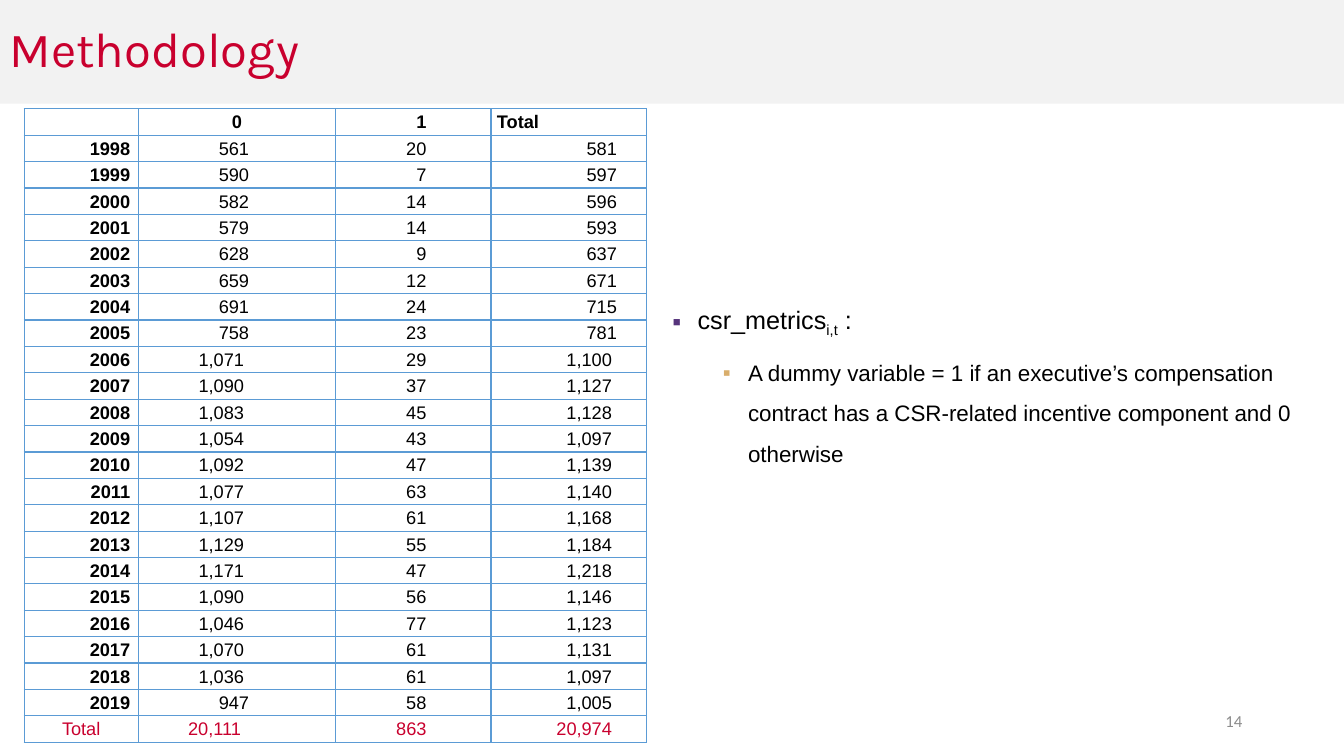
import lxml.etree
import pptx
import pptx.dml.color
import pptx.enum.shapes
import pptx.enum.text
import pptx.oxml.ns
import pptx.util

RGBColor = pptx.dml.color.RGBColor
CRIMSON = RGBColor(0xC9, 0x00, 0x2E)
BLACK = RGBColor(0x00, 0x00, 0x00)
GREY = RGBColor(0x8C, 0x8C, 0x8C)
BAND = RGBColor(0xF2, 0xF2, 0xF2)
RULE = RGBColor(0x5B, 0x9B, 0xD5)
PURPLE = RGBColor(0x56, 0x34, 0x7C)
GOLD = RGBColor(0xD9, 0xAE, 0x6C)

ALIGN = pptx.enum.text.PP_ALIGN
MIDDLE = pptx.enum.text.MSO_ANCHOR.MIDDLE
TOP = pptx.enum.text.MSO_ANCHOR.TOP
Inches = pptx.util.Inches
Pt = pptx.util.Pt

NO_CSR = [561, 590, 582, 579, 628, 659, 691, 758, 1071, 1090, 1083,
          1054, 1092, 1077, 1107, 1129, 1171, 1090, 1046, 1070, 1036, 947]
WITH_CSR = [20, 7, 14, 14, 9, 12, 24, 23, 29, 37, 45,
            43, 47, 63, 61, 55, 47, 56, 77, 61, 61, 58]
FIRST_YEAR = 1998
COLUMN_SHARES = [8.48, 14.7, 11.55, 11.55]
NO_CSR_INSETS = {3: 0.86, 5: 0.91, 6: 0.94}
TOTAL_INSETS = {3: 0.29, 5: 0.34, 6: 0.34}


def apply(target, values):
    for name, value in values.items():
        setattr(target, name, value)


def add_xml(parent, tag, **attributes):
    return lxml.etree.SubElement(parent, pptx.oxml.ns.qn(tag), attributes)


class MethodologySlide:
    GRID = 100

    def __init__(self, deck):
        self.deck = deck
        self.slide = deck.slides.add_slide(deck.slide_layouts[6])

    def box(self, column, row, columns, rows):
        across, down = self.deck.slide_width, self.deck.slide_height
        return [int(size * share / self.GRID) for size, share in
                zip((across, down, across, down), (column, row, columns, rows))]

    def add_words(self, paragraph, text, size, color=BLACK, face="Arial", bold=False):
        run = paragraph.add_run()
        run.text = text
        apply(run.font, {"name": face, "size": Pt(size), "bold": bold})
        run.font.color.rgb = color
        return run

    def band(self, place, text):
        band = self.slide.shapes.add_shape(
            pptx.enum.shapes.MSO_SHAPE.RECTANGLE, *self.box(*place))
        band.shadow.inherit = False
        band.fill.solid()
        band.fill.fore_color.rgb = BAND
        band.line.fill.background()
        apply(band.text_frame, {"vertical_anchor": MIDDLE, "word_wrap": True})
        heading = band.text_frame.paragraphs[0]
        apply(heading, {"alignment": ALIGN.LEFT, "line_spacing": 0.9})
        self.add_words(heading, text, 35, CRIMSON, "Karla")

    def text_frame(self, place, anchor):
        frame = self.slide.shapes.add_textbox(*self.box(*place)).text_frame
        apply(frame, {"word_wrap": True, "vertical_anchor": anchor})
        return frame

    def page_number(self, place, text):
        paragraph = self.text_frame(place, MIDDLE).paragraphs[0]
        paragraph.alignment = ALIGN.RIGHT
        self.add_words(paragraph, text, 12, GREY, "Calibri")

    def bullet(self, paragraph, level, indent, before, color):
        apply(paragraph, {"level": level, "line_spacing": 1.5, "space_before": Pt(before)})
        properties = paragraph._p.get_or_add_pPr()
        properties.set("marL", str(Inches(indent)))
        properties.set("indent", str(Inches(-0.25)))
        add_xml(add_xml(properties, "a:buClr"), "a:srgbClr", val=str(color))
        add_xml(properties, "a:buFont", typeface="Arial")
        add_xml(properties, "a:buChar", char="▪")

    def definition(self, place, term, subscript, meaning):
        frame = self.text_frame(place, TOP)
        term_line = frame.paragraphs[0]
        self.bullet(term_line, 0, 0.25, 10, PURPLE)
        self.add_words(term_line, term, 18)
        index = self.add_words(term_line, subscript, 18)
        index._r.get_or_add_rPr().set("baseline", "-25000")
        self.add_words(term_line, " :", 18)
        meaning_line = frame.add_paragraph()
        self.bullet(meaning_line, 1, 0.75, 5, GOLD)
        self.add_words(meaning_line, meaning, 16)

    def cell(self, cell, text, alignment, left=0.01, right=0.01, **style):
        apply(cell, {"margin_left": Inches(left), "margin_right": Inches(right),
                     "margin_top": Inches(0.01), "margin_bottom": 0,
                     "vertical_anchor": MIDDLE})
        properties = cell._tc.get_or_add_tcPr()
        for side in ("a:lnL", "a:lnR", "a:lnT", "a:lnB"):
            line = add_xml(properties, side, w=str(Pt(1)))
            add_xml(add_xml(line, "a:solidFill"), "a:srgbClr", val=str(RULE))
        add_xml(properties, "a:noFill")
        paragraph = cell.text_frame.paragraphs[0]
        paragraph.alignment = alignment
        if text:
            self.add_words(paragraph, text, 13, **style)
        else:
            add_xml(paragraph._p, "a:endParaRPr", sz="1300")

    def counts_table(self, place, records):
        table = self.slide.shapes.add_table(
            len(records) + 1, len(COLUMN_SHARES), *self.box(*place)).table
        apply(table, {"first_row": False, "horz_banding": False})
        for column, share in zip(table.columns, COLUMN_SHARES):
            column.width = self.box(0, 0, share, 0)[2]
        header = [("", ALIGN.CENTER, 0.01, 0.01), ("0", ALIGN.CENTER, 0.01, 0.01),
                  ("1", ALIGN.RIGHT, 0.01, 0.64), ("Total", ALIGN.LEFT, 0.06, 0.01)]
        for column, (text, alignment, left, right) in enumerate(header):
            self.cell(table.cell(0, column), text, alignment, left, right, bold=True)
        for row, (label, *counts) in enumerate(records, 1):
            is_year = label != "Total"
            color = BLACK if is_year else CRIMSON
            self.cell(table.cell(row, 0), label,
                      ALIGN.RIGHT if is_year else ALIGN.CENTER,
                      right=0.08 if is_year else 0.01, color=color, bold=is_year)
            without, incentive, total = [f"{count:,}" for count in counts]
            insets = [NO_CSR_INSETS[len(without)], 0.64, TOTAL_INSETS[len(total)]]
            for column, (text, inset) in enumerate(
                    zip((without, incentive, total), insets), 1):
                self.cell(table.cell(row, column), text, ALIGN.RIGHT,
                          right=inset, color=color)


def main():
    deck = pptx.Presentation()
    apply(deck, {"slide_width": Inches(13.33), "slide_height": Inches(7.5)})
    records = [(str(year), without, incentive, without + incentive)
               for year, (without, incentive) in
               enumerate(zip(NO_CSR, WITH_CSR), FIRST_YEAR)]
    records.append(("Total", sum(NO_CSR), sum(WITH_CSR), sum(NO_CSR + WITH_CSR)))

    slide = MethodologySlide(deck)
    slide.band((0, 0, 100, 13.73), "Methodology")
    slide.counts_table((1.8, 14.4, 46.28, 83.87), records)
    slide.page_number((70.67, 92.67, 22.5, 5.33), "14")
    slide.definition(
        (49.29, 37.33, 49.06, 58), "csr_metrics", "i,t",
        "A dummy variable = 1 if an executive’s compensation contract has a "
        "CSR-related incentive component and 0 otherwise")
    deck.save("out.pptx")


if __name__ == "__main__":
    main()
